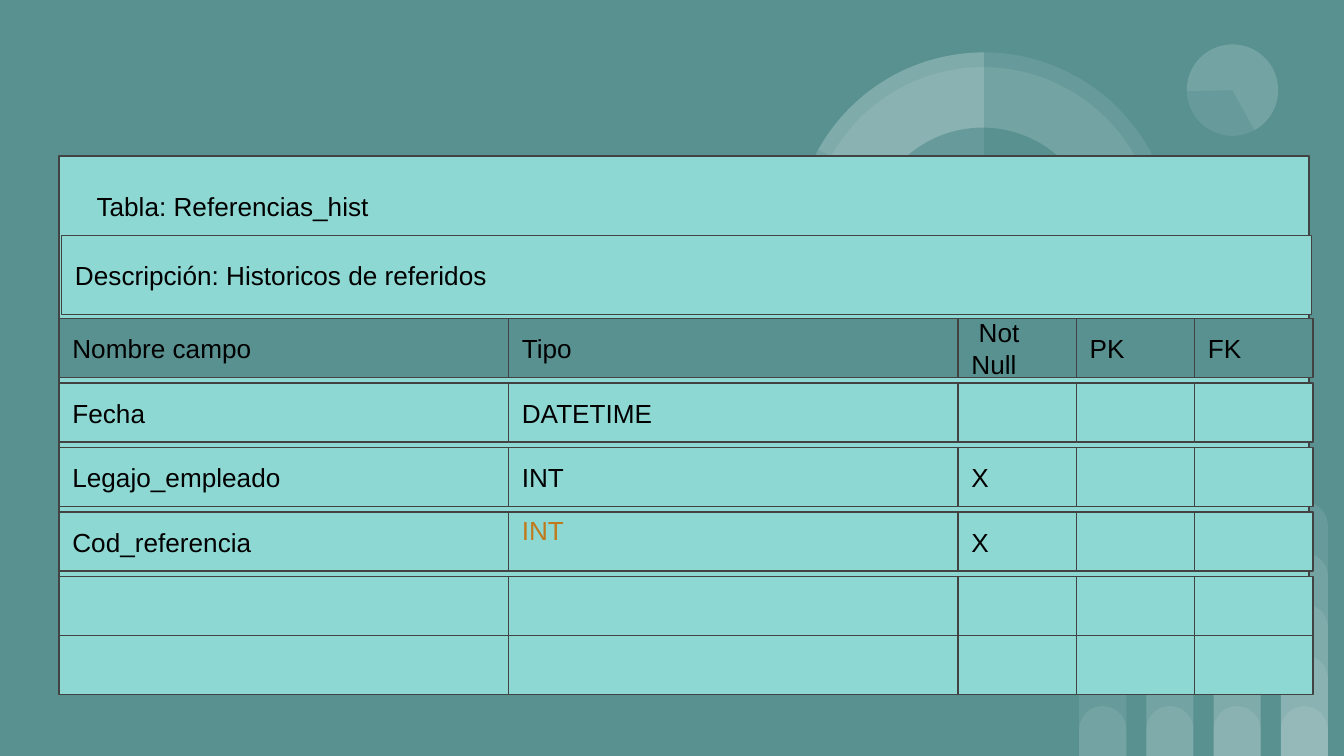
from dataclasses import dataclass
from itertools import accumulate
from typing import NamedTuple, Optional

from lxml import etree
from pptx import Presentation, util as u
from pptx.dml.color import RGBColor
from pptx.enum import shapes, text
from pptx.oxml.ns import qn

FORM = shapes.MSO_SHAPE


@dataclass(frozen=True)
class Theme:
    """Colours, type and line sizes of the slide."""
    ground: str = "599191"
    panel: str = "8DD8D3"
    border: str = "424242"
    ink: str = "000000"
    accent: str = "C0791B"
    veil: str = "FFFFFF"
    veil_alpha: int = 9
    font: str = "Arial"
    size: int = 14
    line: float = 0.75
    inset: float = 0.1


class Box(NamedTuple):
    """Left, top, width and height in inches."""
    left: float
    top: float
    width: float
    height: float


@dataclass(frozen=True)
class Ornament:
    """One round piece of the backdrop."""
    box: Box
    form: FORM = FORM.OVAL
    turn: float = 0
    arc: tuple[float, ...] = ()
    solid: bool = False


@dataclass(frozen=True)
class Field:
    """One row of the data dictionary."""
    name: str = ""
    kind: str = ""
    not_null: str = ""
    pk: str = ""
    fk: str = ""
    kind_raised: bool = False


THEME = Theme()
SLIDE_W = 10
SLIDE_H = SLIDE_W * 9 / 16
GRID_LEFT, GRID_TOP, GRID_W = 0.44, 2.37, 9.33
COLUMN_SHARES = (19, 19, 5, 5, 5)
ROW_H, ROW_GAP = 0.44, 0.04
BAR_LEFT, BAR_PITCH, BAR_W, BAR_STEP = 8.03, 0.5, 0.35, 0.38

DIAL = Box(8.83, 0.33, 0.68, 0.68)
RING = Box(5.91, 0.39, 2.82, 2.82)
ORNAMENTS = (
    Ornament(DIAL, turn=215.9),
    Ornament(DIAL, FORM.PIE, 215.9, (193.77, 123.14)),
    Ornament(RING),
    Ornament(Box(6.02, 0.5, 2.59, 2.59), turn=34.1),
    Ornament(RING, FORM.PIE, arc=(88.01, 162)),
    Ornament(Box(6.46, 0.95, 1.7, 1.7), turn=34.1, solid=True),
    Ornament(RING, FORM.PIE, arc=(125.54, 162)),
)
HEADER = Field("Nombre campo", "Tipo", " Not Null", "PK", "FK")
FIELDS = (
    Field("Fecha", "DATETIME"),
    Field("Legajo_empleado", "INT", "X"),
    Field("Cod_referencia", "INT", "X", kind_raised=True),
    Field(),
    Field(),
)


def place(box: Box) -> list[int]:
    """Turn a box into slide lengths."""
    return [u.Inches(length) for length in box]


def write(shape, words: str, *, color: str = THEME.ink, top: float = THEME.inset,
          anchor=text.MSO_ANCHOR.MIDDLE) -> None:
    """Put formatted words into a shape."""
    frame = shape.text_frame
    frame.word_wrap = True
    frame.vertical_anchor = anchor
    frame.margin_left = frame.margin_right = frame.margin_bottom = u.Inches(THEME.inset)
    frame.margin_top = u.Inches(top)
    line = frame.paragraphs[0]
    line.alignment = text.PP_ALIGN.LEFT
    run = line.add_run()
    run.text = words
    run.font.name = THEME.font
    run.font.size = u.Pt(THEME.size)
    run.font.color.rgb = RGBColor.from_string(color)


def draw(slide, form: FORM, box: Box, fill: str, *, border: Optional[str] = None,
         alpha: int = 100, adjust: tuple[float, ...] = (), turn: float = 0):
    """Draw one filled shape."""
    shape = slide.shapes.add_shape(form, *place(box))
    shape.shadow.inherit = False
    shape.rotation = turn
    for index, value in enumerate(adjust):
        shape.adjustments[index] = value
    shape.fill.solid()
    shape.fill.fore_color.rgb = RGBColor.from_string(fill)
    if alpha < 100:
        tint = shape.fill._xPr.find(qn("a:solidFill"))[0]
        etree.SubElement(tint, qn("a:alpha")).set("val", str(alpha * 1000))
    if border:
        shape.line.color.rgb = RGBColor.from_string(border)
        shape.line.width = u.Pt(THEME.line)
    else:
        shape.line.fill.background()
    return shape


def draw_panel(slide, box: Box, fill: str = THEME.panel):
    """Draw a bordered rectangle."""
    return draw(slide, FORM.RECTANGLE, box, fill, border=THEME.border)


def draw_backdrop(slide) -> None:
    """Draw the layered bars and the round ornaments."""
    for column in range(4):
        for level in range(1, column + 3):
            height = BAR_STEP * level - 0.01
            bar = Box(BAR_LEFT + BAR_PITCH * column, SLIDE_H - height, BAR_W, height)
            draw(slide, FORM.ROUND_2_SAME_RECTANGLE, bar, THEME.veil,
                 alpha=THEME.veil_alpha, adjust=(0.5, 0))
    for piece in ORNAMENTS:
        draw(slide, piece.form, piece.box, THEME.ground if piece.solid else THEME.veil,
             alpha=100 if piece.solid else THEME.veil_alpha,
             adjust=piece.arc, turn=piece.turn)


def draw_row(slide, top: float, field: Field, fill: str = THEME.panel) -> None:
    """Draw the five cells of one row."""
    unit = GRID_W / sum(COLUMN_SHARES)
    starts = accumulate(COLUMN_SHARES, initial=0)
    entries = (field.name, field.kind, field.not_null, field.pk, field.fk)
    for column, (start, share, entry) in enumerate(zip(starts, COLUMN_SHARES, entries)):
        cell = draw_panel(slide, Box(GRID_LEFT + start * unit, top, share * unit, ROW_H), fill)
        if column == 1 and field.kind_raised:
            write(cell, entry, color=THEME.accent, top=0.02, anchor=text.MSO_ANCHOR.TOP)
        elif entry:
            write(cell, entry)


def main() -> None:
    """Build and save the slide."""
    deck = Presentation()
    deck.slide_width, deck.slide_height = u.Inches(SLIDE_W), u.Inches(SLIDE_H)
    slide = deck.slides.add_slide(deck.slide_layouts[6])
    slide.background.fill.solid()
    slide.background.fill.fore_color.rgb = RGBColor.from_string(THEME.ground)

    draw_backdrop(slide)
    draw_panel(slide, Box(GRID_LEFT, 1.16, 9.3, 3.9))
    title = slide.shapes.add_textbox(*place(Box(0.62, 1.32, 8.03, ROW_H)))
    write(title, "Tabla: Referencias_hist", anchor=text.MSO_ANCHOR.TOP)
    description = draw_panel(slide, Box(0.46, 1.75, 9.3, 0.59))
    write(description, "Descripción: Historicos de referidos")

    draw_row(slide, GRID_TOP, HEADER, THEME.ground)
    for row, field in enumerate(FIELDS, start=1):
        gaps = min(row, len(FIELDS) - 1)
        draw_row(slide, GRID_TOP + row * ROW_H + gaps * ROW_GAP, field)
    deck.save("out.pptx")


if __name__ == "__main__":
    main()
